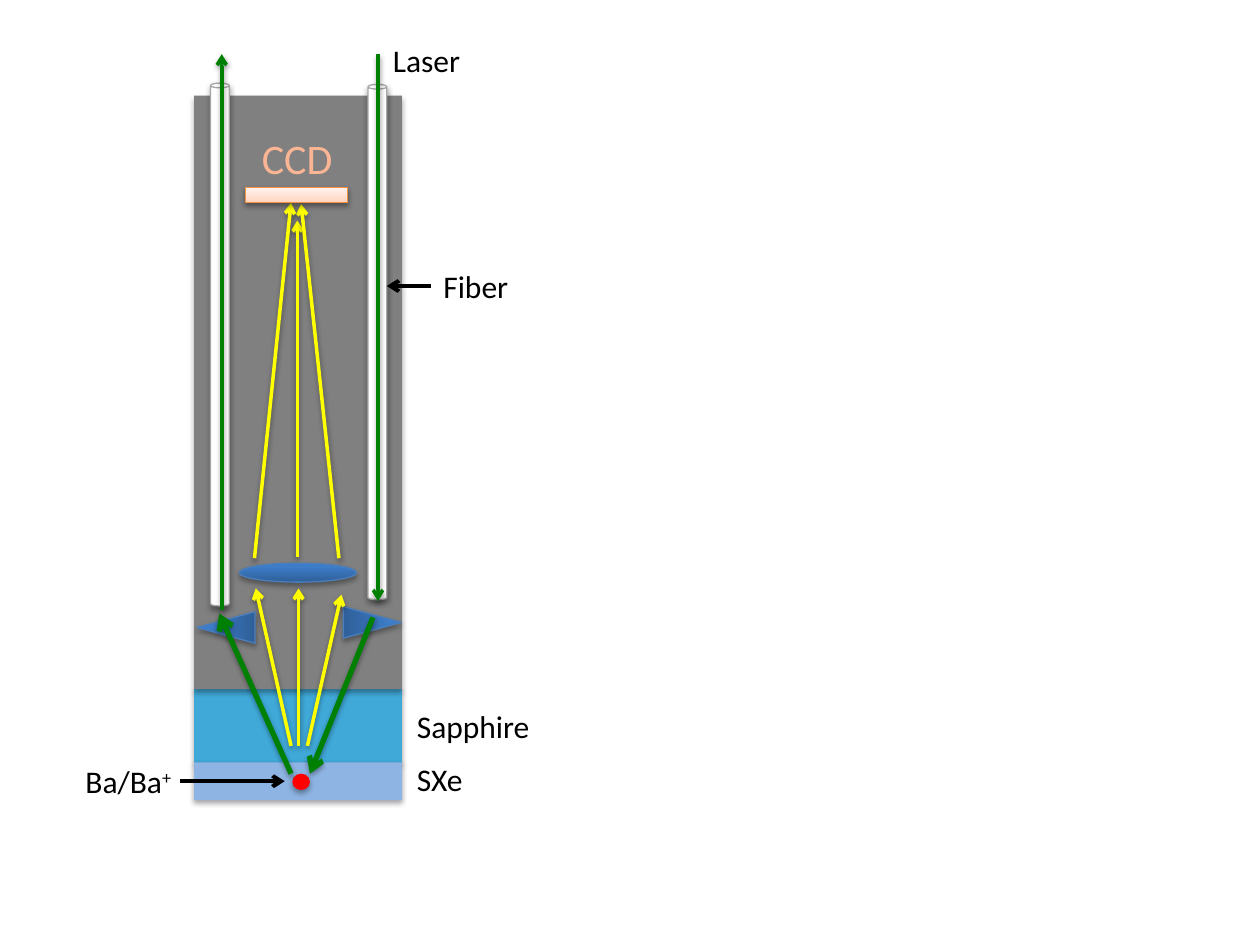
from copy import deepcopy

from lxml import etree
from pptx import Presentation
from pptx import util as u
from pptx.dml.color import RGBColor
from pptx.enum import shapes, text
from pptx.oxml.ns import qn

GLASS = [(0, "2F5F99"), (80, "3D7CC7"), (100, "3A7CCB")]
SENSOR = [(0, "FFD2BD"), (35, "FFDED0"), (100, "FFF2ED")]
GREEN, YELLOW, BLACK = "008000", "FFFF00", "000000"
KIND = shapes.MSO_SHAPE


def color(value):
    return RGBColor.from_string(value)


class Diagram:
    """Draws styled shapes, arrows and labels on one slide."""

    font = "Calibri"
    shape_shadow = (35, 1.8)
    arrow_shadow = (38, 1.6)

    def __init__(self, slide):
        self.slide = slide

    def shadow(self, properties, opacity, distance):
        effects = properties.find(qn("a:effectLst"))
        outer = etree.SubElement(effects, qn("a:outerShdw"), {
            "blurRad": str(u.Pt(3.1)), "dist": str(u.Pt(distance)),
            "dir": "5400000", "rotWithShape": "0"})
        black = etree.SubElement(outer, qn("a:srgbClr"), val=BLACK)
        etree.SubElement(black, qn("a:alpha"), val=str(opacity * 1000))

    def gradient(self, shape, stops):
        fill = shape.fill
        fill.gradient()
        fill.gradient_angle = 90
        stop_list = shape._element.spPr.find(qn("a:gradFill")).find(qn("a:gsLst"))
        while len(stop_list) < len(stops):
            stop_list.append(deepcopy(stop_list[-1]))
        for stop, (position, value) in zip(fill.gradient_stops, stops):
            stop.position = position / 100
            stop.color.rgb = color(value)

    def shape(self, kind, box, fill, line=None, rotation=0, shadow=shape_shadow):
        shape = self.slide.shapes.add_shape(kind, *map(u.Inches, box))
        shape.rotation = rotation
        if isinstance(fill, list):
            self.gradient(shape, fill)
        else:
            shape.fill.solid()
            shape.fill.fore_color.rgb = color(fill)
        if line:
            shape.line.color.rgb = color(line)
            shape.line.width = u.Pt(0.75)
        else:
            shape.line.fill.background()
        shape.shadow.inherit = False
        self.shadow(shape._element.spPr, *shadow)

    def arrow(self, start, end, value, width, shadow=arrow_shadow):
        connector = self.slide.shapes.add_connector(
            shapes.MSO_CONNECTOR.STRAIGHT, *map(u.Inches, start + end))
        connector.line.color.rgb = color(value)
        connector.line.width = u.Pt(width)
        properties = connector._element.spPr
        etree.SubElement(properties.find(qn("a:ln")), qn("a:tailEnd"), type="arrow")
        etree.SubElement(properties, qn("a:effectLst"))
        if shadow:
            self.shadow(properties, *shadow)

    def label(self, box, words, size=18, value=BLACK, superscript=None):
        frame = self.slide.shapes.add_textbox(*map(u.Inches, box)).text_frame
        frame.word_wrap = False
        frame.auto_size = text.MSO_AUTO_SIZE.SHAPE_TO_FIT_TEXT
        paragraph = frame.paragraphs[0]
        style = {"name": self.font, "size": u.Pt(size)}
        for part in filter(None, (words, superscript)):
            run = paragraph.add_run()
            run.text = part
            for name, setting in style.items():
                setattr(run.font, name, setting)
            run.font.color.rgb = color(value)
        if superscript:
            run.font._element.set("baseline", "30000")


presentation = Presentation()
presentation.slide_width = u.Inches(10)
presentation.slide_height = u.Inches(7.5)
diagram = Diagram(presentation.slides.add_slide(presentation.slide_layouts[6]))

for top, height, fill in [(5.46, 0.6, "40A9D8"), (6.05, 0.3, "8EB4E3"),
                          (0.76, 4.71, "808080")]:
    diagram.shape(KIND.RECTANGLE, (1.54, top, 1.65, height), fill)
diagram.shape(KIND.OVAL, (2.32, 6.14, 0.14, 0.13), "FF0000")

for left, top, height in [(2.92, 0.67, 4.09), (1.67, 0.66, 4.15)]:
    diagram.shape(KIND.CAN, (left, top, 0.15, height), "FFFFFF", "A6A6A6")
for left, top, rotation in [(1.67, 4.75, 270), (2.83, 4.71, 90)]:
    diagram.shape(KIND.ISOSCELES_TRIANGLE, (left, top, 0.25, 0.46), GLASS,
                  "4B7EBC", rotation)

for start, end in [((2.96, 4.9), (2.46, 6.14)), ((2.31, 6.14), (1.74, 4.87))]:
    diagram.arrow(start, end, GREEN, 3)
for start, end in [((2.37, 5.92), (2.37, 4.67)), ((2.44, 5.92), (2.71, 4.72)),
                   ((2.31, 5.92), (2.03, 4.67)), ((2.36, 4.42), (2.36, 1.75)),
                   ((2.69, 4.43), (2.39, 1.62)), ((2.02, 4.43), (2.31, 1.61))]:
    diagram.arrow(start, end, YELLOW, 2)

diagram.shape(KIND.RECTANGLE, (1.95, 1.49, 0.81, 0.12), SENSOR, "F69240",
              shadow=Diagram.arrow_shadow)
diagram.label((1.98, 1, 0.77, 0.5), "CCD", 24, "FAB594")
for start, end in [((3, 0.43), (3, 4.77)), ((1.76, 4.84), (1.76, 0.43))]:
    diagram.arrow(start, end, GREEN, 2)
diagram.shape(KIND.OVAL, (1.9, 4.47, 0.93, 0.15), GLASS, "4B7EBC")

for left, top, width, words, superscript in [
        (3.21, 5.56, 1.11, "Sapphire", None), (3.21, 5.98, 0.57, "SXe", None),
        (0.58, 6, 0.9, "Ba/Ba", "+"), (3.02, 0.28, 0.74, "Laser", None),
        (3.42, 2.07, 0.72, "Fiber", None)]:
    diagram.label((left, top, width, 0.4), words, superscript=superscript)
for start, end in [((1.43, 6.2), (2.26, 6.2)), ((3.42, 2.27), (3.07, 2.27))]:
    diagram.arrow(start, end, BLACK, 2.25, shadow=None)

presentation.save("out.pptx")
